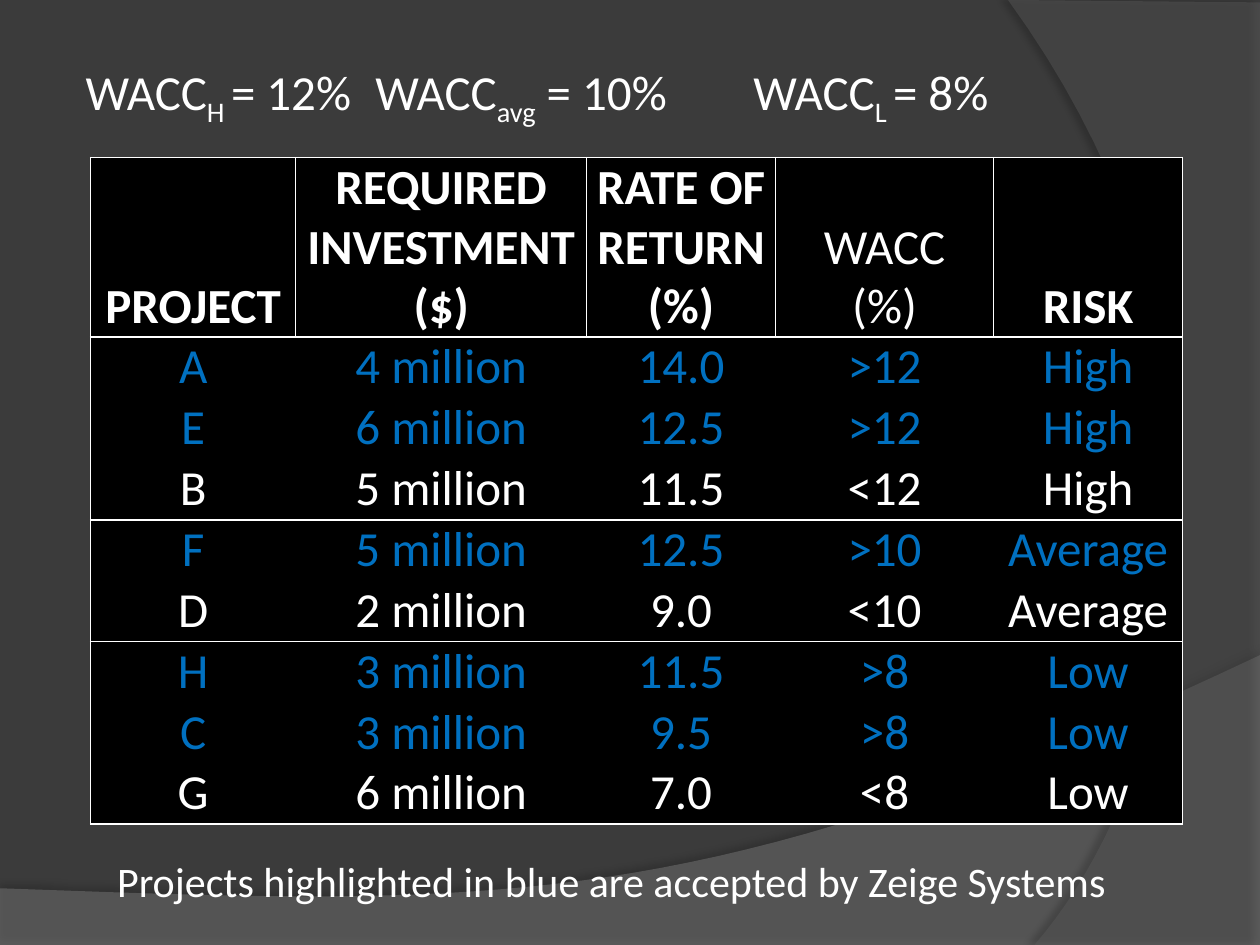
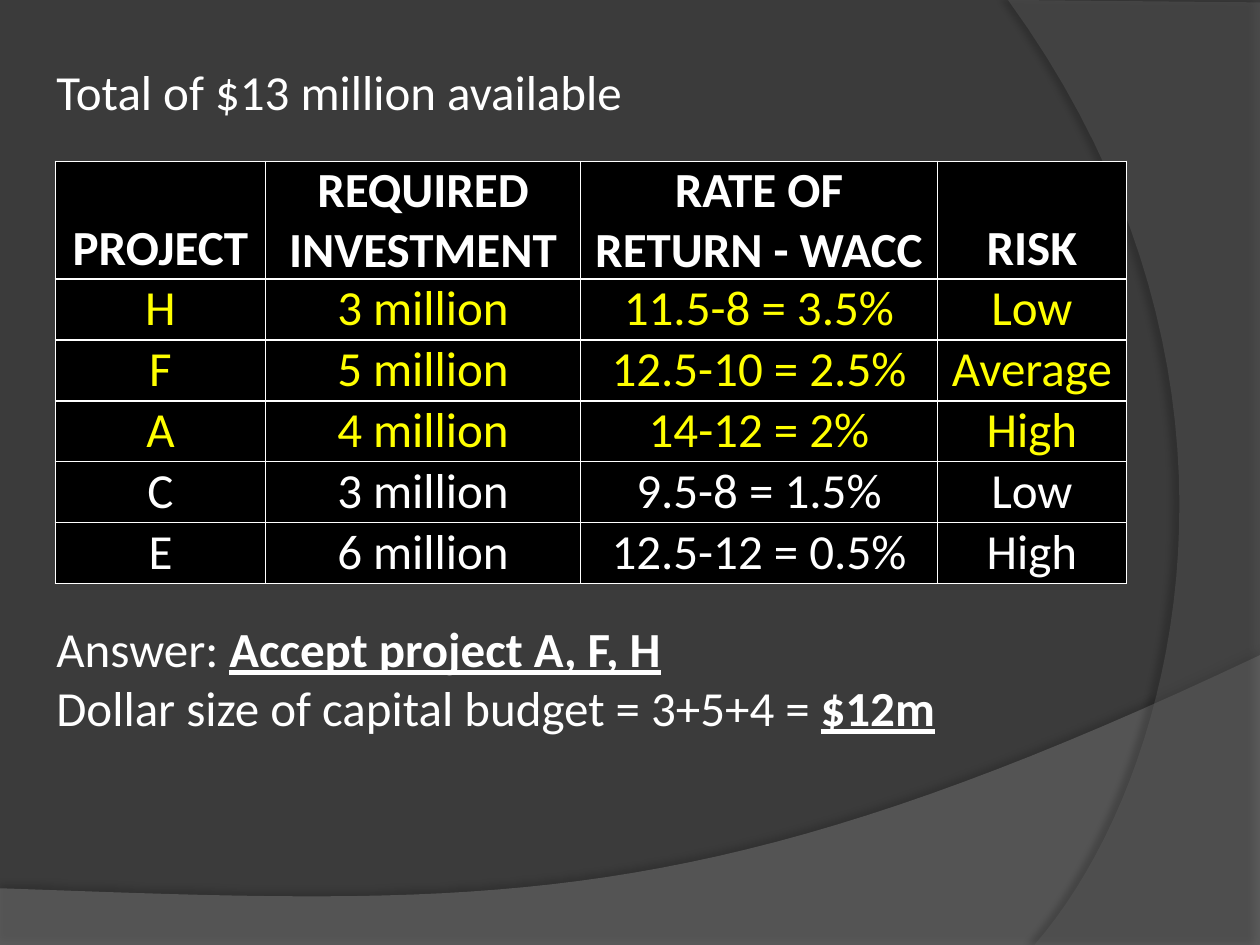
from lxml.etree import SubElement as Sub
from pptx import Presentation
from pptx.dml.color import RGBColor as RGB
from pptx.enum.text import MSO_ANCHOR as Anchor, PP_ALIGN as Align
from pptx.oxml import parse_xml
from pptx.oxml.ns import nsdecls, qn
from pptx.util import Pt


class Theme:
    font = "Calibri"
    body, note = 28, 24
    back, wave, arc = "3B3B3B", "7F7F7F", "5E5E5E"
    ink, cell = "FFFFFF", "000000"
    blue, gold = "0070C0", "FFFF00"
    plain = "{2D5ABB26-0587-4C30-8999-92F81FD0307C}"


def put(frame, *lines, size=Theme.body, color=Theme.ink, bold=False, align=None, hang=0):
    """Write paragraphs; each is a string or a list of (text, style), style "sub" or "key"."""
    frame.word_wrap = True
    for i, line in enumerate(lines):
        para = frame.paragraphs[0] if i == 0 else frame.add_paragraph()
        para.alignment = align
        if hang:
            prop = para._p.get_or_add_pPr()
            prop.set("marL", str(Pt(hang)))
            prop.set("indent", str(-Pt(hang)))
            prop.set("defTabSz", str(Pt(72)))
        for text, style in [(line, "")] if isinstance(line, str) else line:
            for n, part in enumerate(text.split("\n")):
                if n:
                    para.add_line_break()
                run = para.add_run()
                run.text = part
                font = run.font
                font.name, font.size = Theme.font, Pt(size)
                font.color.rgb = RGB.from_string(color)
                font.bold = bold or style == "key"
                font.underline = style == "key"
                if style == "sub":
                    font._element.set("baseline", "-25000")


def grid(slide, left, top, cols, head, rows, picks, tint, boxed, rules=()):
    """Add a table; the first `boxed` rows get full boxes, `rules` rows a bottom line."""
    shape = slide.shapes.add_table(len(rows) + 1, len(cols), Pt(left), Pt(top),
                                   Pt(sum(cols)), Pt(30 + 34.8 * len(rows)))
    table = shape.table
    table._tbl.tblPr.find(qn("a:tableStyleId")).text = Theme.plain
    table.horz_banding = False
    for col, width in zip(table.columns, cols):
        col.width = Pt(width)
    for r, row in enumerate([head] + rows):
        table.rows[r].height = Pt(34.8 if r else 30)
        for c, text in enumerate(row):
            cell = table.cell(r, c)
            cell.margin_left = cell.margin_right = Pt(5)
            cell.margin_top = cell.margin_bottom = 0
            cell.vertical_anchor = Anchor.TOP if r else Anchor.BOTTOM
            shown = {"L": c == 0, "R": c == len(cols) - 1, "T": False, "B": r in rules}
            for side, on in shown.items():
                if on or r < boxed:
                    edge = Sub(cell._tc.get_or_add_tcPr(), qn("a:ln" + side), w=str(Pt(1)))
                    fill = Sub(edge, qn("a:solidFill"))
                    Sub(fill, qn("a:srgbClr"), val=Theme.ink)
            cell.fill.solid()
            cell.fill.fore_color.rgb = RGB.from_string(Theme.cell)
            put(cell.text_frame, *([text] if isinstance(text, str) else text),
                color=tint if r and row[0] in picks else Theme.ink,
                bold=r == 0 and text != ("WACC", "(%)"), align=Align.CENTER)


deck = Presentation()
deck.slide_width, deck.slide_height = Pt(720), Pt(540)
base = deck.slide_layouts[6]
base.background.fill.solid()
base.background.fill.fore_color.rgb = RGB.from_string(Theme.back)
costs = deck.slides.add_slide(base)
budget = deck.slides.add_slide(base)

# Backdrop: corners, then a Bezier curve; drawn once and moved to the shared layout
waves = [
    ([(0, 507.6), (0, 540), (720, 540)],
     [(720, 374.4), (402.5, 524.9), (281.5, 517.7), (0, 507.6)],
     Theme.wave, 45, 35, 3.5, 270),
    ([(720, 1.4), (720, 540)],
     [(591.1, 540), (673.2, 445.7), (733, 216), (576, 0)],
     Theme.arc, 40, 45, 4, 180),
]
for points, curve, color, alpha, dark, dist, turn in waves:
    outline = list(points)
    for step in range(41):
        t = step / 40
        parts = [(1 - t) ** 3, 3 * t * (1 - t) ** 2, 3 * t * t * (1 - t), t ** 3]
        outline.append(tuple(sum(k * p[axis] for k, p in zip(parts, curve))
                             for axis in (0, 1)))
    path = [(Pt(x), Pt(y)) for x, y in outline]
    pen = costs.shapes.build_freeform(*path[0], scale=1.0)
    pen.add_line_segments(path[1:], close=True)
    wave = pen.convert_to_shape()
    wave.line.fill.background()
    wave.fill.solid()
    wave.fill.fore_color.rgb = RGB.from_string(color)
    tone = wave._element.spPr.find(qn("a:solidFill"))[0]
    Sub(tone, qn("a:alpha"), val=str(alpha * 1000))
    wave._element.spPr.append(parse_xml(
        f'<a:effectLst {nsdecls("a")}><a:outerShdw blurRad="{Pt(4)}" dist="{Pt(dist)}" '
        f'dir="{turn * 60000}" algn="ctr" rotWithShape="0"><a:srgbClr val="000000">'
        f'<a:alpha val="{dark * 1000}"/></a:srgbClr></a:outerShdw></a:effectLst>'))
    base.shapes._spTree.append(wave._element)

# Tables
grid(costs, 51.8, 90, [117.2, 166.2, 108, 124.6, 108],
     ["PROJECT", ("REQUIRED\nINVESTMENT", "($)"), "RATE OF\nRETURN(%)",
      ("WACC", "(%)"), "RISK"],
     [["A", "4 million", "14.0", ">12", "High"],
      ["E", "6 million", "12.5", ">12", "High"],
      ["B", "5 million", "11.5", "<12", "High"],
      ["F", "5 million", "12.5", ">10", "Average"],
      ["D", "2 million", "9.0", "<10", "Average"],
      ["H", "3 million", "11.5", ">8", "Low"],
      ["C", "3 million", "9.5", ">8", "Low"],
      ["G", "6 million", "7.0", "<8", "Low"]],
     picks="AEFHC", tint=Theme.blue, boxed=1, rules=(3, 5, 8))
grid(budget, 31.7, 92.2, [120, 180, 204, 108],
     ["PROJECT", "REQUIRED\nINVESTMENT", "RATE OF\nRETURN - WACC", "RISK"],
     [["H", "3 million", "11.5-8 = 3.5%", "Low"],
      ["F", "5 million", "12.5-10 = 2.5%", "Average"],
      ["A", "4 million", "14-12 = 2%", "High"],
      ["C", "3 million", "9.5-8 = 1.5%", "Low"],
      ["E", "6 million", "12.5-12 = 0.5%", "High"]],
     picks="HFA", tint=Theme.gold, boxed=6)

# Text around the tables: slide, box, paragraphs, format
rates = [("WACC", ""), ("H ", "sub"), ("= 12%\tWACC", ""), ("avg", "sub"),
         (" = 10%\tWACC", ""), ("L ", "sub"), ("= 8%", "")]
answer = [("Answer: ", ""), ("Accept project A, F, H", "key")]
total = [("Dollar size of capital budget = 3+5+4 = ", ""), ("$12m", "key")]
texts = [
    (costs, (41.8, 31.7, 635.8, 59.8), [rates], {"hang": 21.6}),
    (costs, (59.8, 485.3, 612.7, 36),
     ["Projects highlighted in blue are accepted by Zeige Systems"], {"size": Theme.note}),
    (budget, (25.2, 31.7, 635.8, 59.8), ["Total of $13 million available"], {"hang": 21.6}),
    (budget, (25.2, 349.9, 635.8, 108), [answer, total], {"hang": 21.6}),
]
for slide, box, lines, form in texts:
    frame = slide.shapes.add_textbox(*map(Pt, box)).text_frame
    put(frame, *lines, **form)

deck.save("out.pptx")
